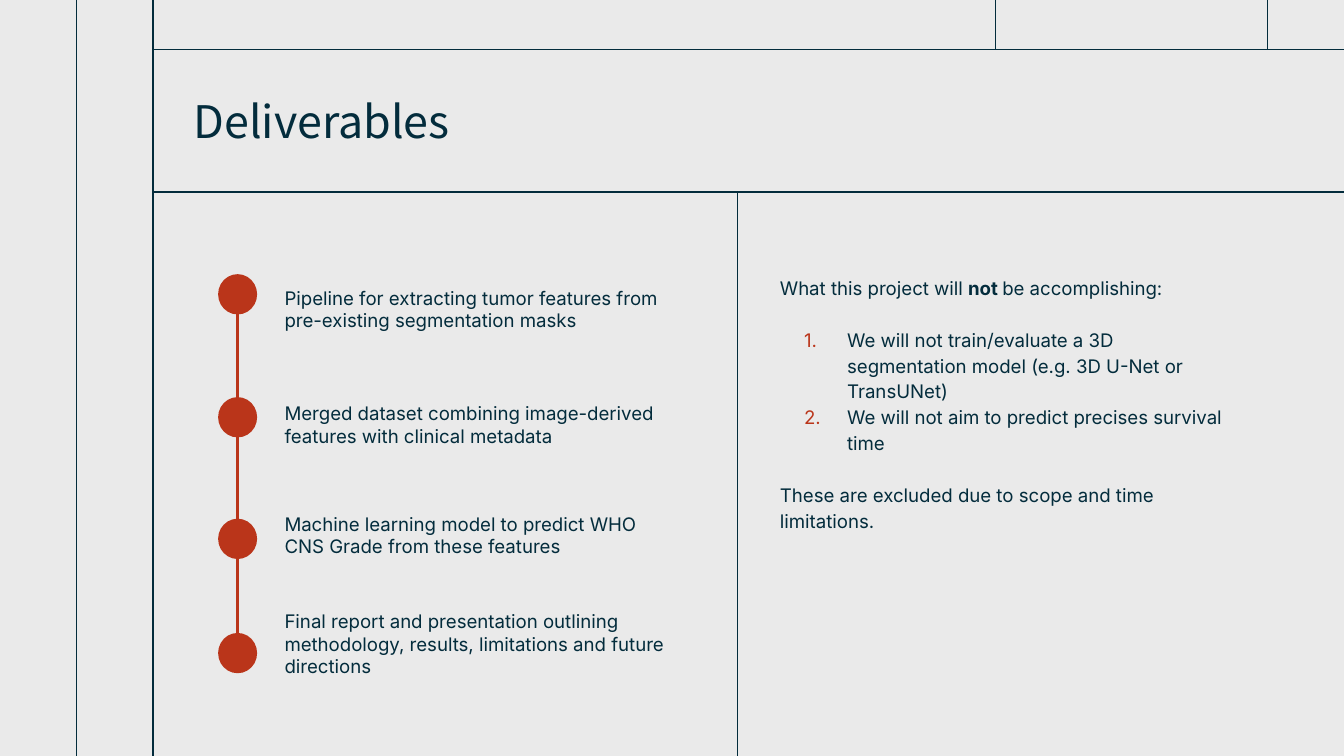
from lxml.etree import SubElement
from pptx import Presentation
from pptx.dml.color import RGBColor
from pptx.enum.shapes import MSO_CONNECTOR as Link, MSO_SHAPE as Preset
from pptx.enum.text import MSO_ANCHOR as Anchor
from pptx.oxml.ns import qn
from pptx.util import Inches, Pt

WIDTH = 10
HEIGHT = WIDTH * 9 / 16
CELL = 0.1  # inches per grid column and row
COLUMNS, ROWS = WIDTH / CELL, HEIGHT / CELL
NAVY, RED, GREY = "032C3C", "BA351A", "EAEAEA"
TITLE_FONT, BODY_FONT = "Noto Sans CJK KR", "Inter"

# Frame lines: start column, start row, end column, end row
RULES = [
    (74.07, 0, 74.07, 3.7),
    (94.3, 0, 94.3, 3.7),
    (5.7, 0, 5.7, ROWS),
    (11.4, 3.7, COLUMNS, 3.7),
    (11.4, 14.3, COLUMNS, 14.3),
    (11.4, 0, 11.4, ROWS),
    (54.87, 14.3, 54.87, ROWS),
]

# Deliverables: row of the dot, row of the label, label
DELIVERABLES = [
    (20.4, 20.3, "Pipeline for extracting tumor features from pre-existing segmentation masks"),
    (29.55, 28.9, "Merged dataset combining image-derived features with clinical metadata"),
    (38.6, 37.1, "Machine learning model to predict WHO CNS Grade from these features"),
    (47.1, 45.2, "Final report and presentation outlining methodology, results, "
                 "limitations and future directions"),
]
TIMELINE = [(23.4, 35.6), (35.3, 50.1)]

# Exclusions: spans of (text, bold), paragraph format, numbered or not
EXCLUSIONS = [
    ([("What this project will ", False), ("not ", True), ("be accomplishing:", False)], {}, False),
    ([("We will not train/evaluate a 3D segmentation model (e.g. 3D U-Net or TransUNet)", False)],
     {"space_before": Pt(14)}, True),
    ([("We will not aim to predict precises survival time", False)], {}, True),
    ([("These are excluded due to scope and time limitations.", False)],
     {"space_before": Pt(14)}, False),
]


def color(code):
    return RGBColor.from_string(code)


def grid(*cells):
    return [Inches(cell * CELL) for cell in cells]


def apply(target, values):
    for name, value in values.items():
        setattr(target, name, value)


class SlidePainter:
    def __init__(self, slide):
        self.slide = slide
        fill = slide.background.fill
        fill.solid()
        fill.fore_color.rgb = color(GREY)

    def line(self, ends, code=NAVY, width=0.75):
        line = self.slide.shapes.add_connector(Link.STRAIGHT, *grid(*ends))
        line.line.color.rgb = color(code)
        line.line.width = Pt(width)
        SubElement(line._element.spPr, qn("a:effectLst"))

    def dot(self, column, row):
        dot = self.slide.shapes.add_shape(Preset.OVAL, *grid(column, row, 2.9, 3))
        dot.shadow.inherit = False
        dot.fill.solid()
        dot.fill.fore_color.rgb = color(RED)
        dot.line.fill.background()

    def frame(self, area, margins=(0, 0, 0, 0), anchor=Anchor.MIDDLE):
        """Add an empty wrapping text box; margins are left, top, right, bottom."""
        frame = self.slide.shapes.add_textbox(*grid(*area)).text_frame
        left, top, right, bottom = grid(*margins)
        apply(frame, {"word_wrap": True, "vertical_anchor": anchor,
                      "margin_left": left, "margin_top": top,
                      "margin_right": right, "margin_bottom": bottom})
        return frame

    def span(self, para, text, size=10, font=BODY_FONT, bold=False):
        span = para.add_run()
        span.text = text
        apply(span.font, {"size": Pt(size), "name": font, "bold": bold})
        span.font.color.rgb = color(NAVY)

    def number(self, para):
        """Turn a paragraph into an automatically numbered list item."""
        props = para._p.get_or_add_pPr()
        props.set("marL", str(Inches(0.5)))
        props.set("indent", str(Inches(-0.32)))
        SubElement(SubElement(props, qn("a:buClr")), qn("a:srgbClr")).set("val", RED)
        SubElement(props, qn("a:buFont")).set("typeface", BODY_FONT)
        SubElement(props, qn("a:buAutoNum")).set("type", "arabicPeriod")


def main():
    deck = Presentation()
    apply(deck, {"slide_width": Inches(WIDTH), "slide_height": Inches(HEIGHT)})
    painter = SlidePainter(deck.slides.add_slide(deck.slide_layouts[6]))

    for ends in RULES:
        painter.line(ends)

    title = painter.frame((11.4, 5.5, 82.9, 7), (3, 1, 1, 1))
    painter.span(title.paragraphs[0], "Deliverables", 24, TITLE_FONT)

    for top, bottom in TIMELINE:
        painter.line((17.7, top, 17.7, bottom), RED, 1.5)
    for dot_row, label_row, label in DELIVERABLES:
        painter.dot(16.23, dot_row)
        box = painter.frame((21.17, label_row, 28.9, 5.4))
        painter.span(box.paragraphs[0], label)

    box = painter.frame((58.03, 20.35, 33.1, 24), (0, 0, 0, 1), Anchor.TOP)
    for index, (spans, layout, numbered) in enumerate(EXCLUSIONS):
        para = box.add_paragraph() if index else box.paragraphs[0]
        apply(para, {"line_spacing": 1.15, **layout})
        if numbered:
            painter.number(para)
        for text, bold in spans:
            painter.span(para, text, bold=bold)

    deck.save("out.pptx")


if __name__ == "__main__":
    main()
